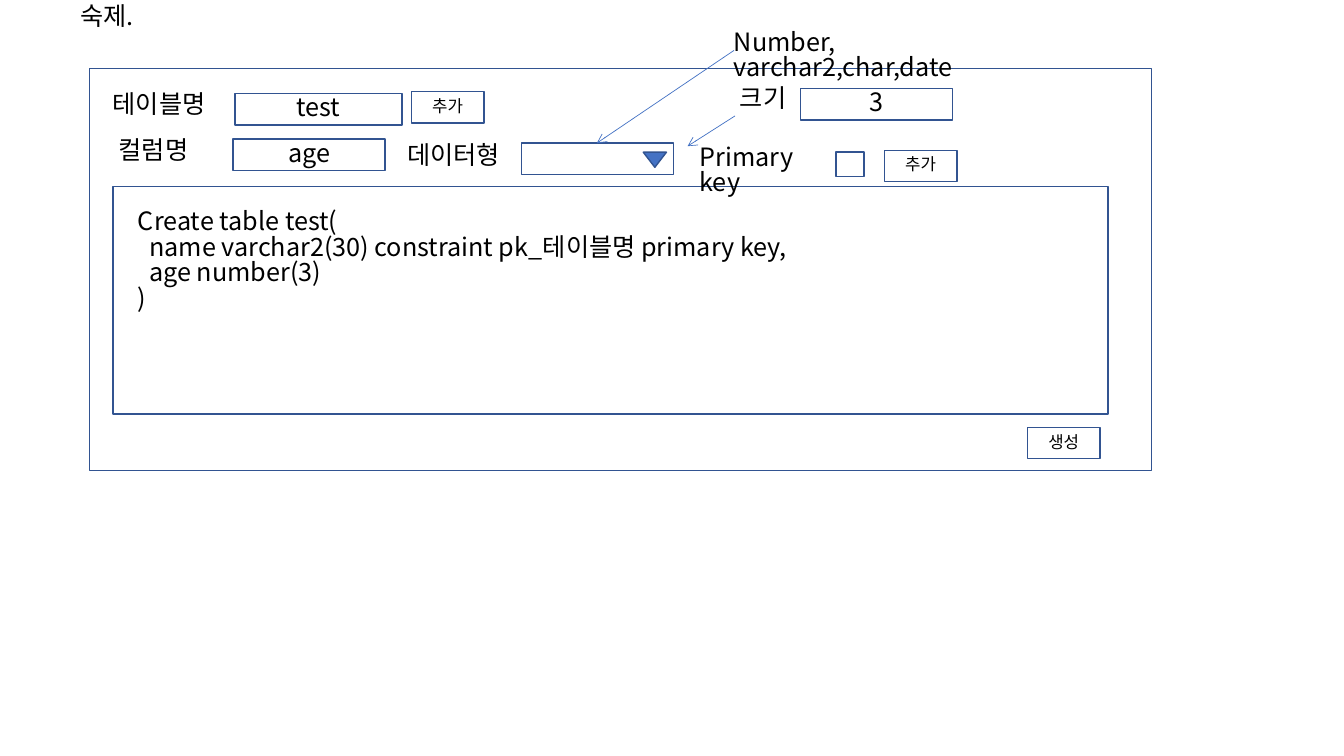
from dataclasses import dataclass

from lxml import etree
from pptx import Presentation
from pptx import util as u
from pptx.dml import color
from pptx.enum import shapes, text
from pptx.oxml import ns
from pptx.slide import Slide
from pptx.text.text import TextFrame

EMU_PER_PX = 9144


@dataclass(frozen=True)
class Theme:
    font: str = "Noto Sans CJK KR"
    ink: color.RGBColor = color.RGBColor(0, 0, 0)
    outline: color.RGBColor = color.RGBColor(0x32, 0x54, 0x91)
    accent: color.RGBColor = color.RGBColor(0x44, 0x72, 0xC4)
    body_size: int = 18
    button_size: int = 12
    line_spacing: float = 0.84
    outline_width: float = 1
    arrow_width: float = 0.5


@dataclass(frozen=True)
class Box:
    left: int
    top: int
    width: int
    height: int
    caption: str = ""
    size: int = 18


@dataclass(frozen=True)
class Label:
    left: int
    top: int
    width: int
    lines: tuple[str, ...]
    height: int = 40


@dataclass(frozen=True)
class Arrow:
    start: tuple[int, int]
    end: tuple[int, int]


THEME = Theme()


def button(left: int, top: int, caption: str) -> Box:
    return Box(left, top, 72, 31, caption, THEME.button_size)


def field(left: int, top: int, caption: str = "", width: int = 151) -> Box:
    return Box(left, top, width, 31, caption, THEME.body_size)


BOXES = (
    Box(89, 68, 1053, 399),
    Box(112, 185, 987, 226),
    field(233, 93, "test", 166),
    field(231, 138, "age"),
    field(517, 142),
    field(794, 88, "3"),
    Box(829, 151, 28, 24),
    button(408, 91, "추가"),
    button(877, 149, "추가"),
    button(1019, 424, "생성"),
)
DROPDOWN_MARK = Box(638, 151, 23, 15)
LABELS = (
    Label(70, 0, 85, ("숙제.",)),
    Label(102, 88, 121, ("테이블명",)),
    Label(108, 133, 96, ("컬럼명",)),
    Label(394, 138, 121, ("데이터형",)),
    Label(718, 26, 330, ("Number, varchar2,char,date",)),
    Label(724, 82, 71, ("크기",)),
    Label(684, 140, 155, ("Primary key",)),
    Label(127, 204, 668, (
        "Create table test(",
        "  name varchar2(30) constraint pk_테이블명 primary key,",
        "  age number(3)",
        ")",
    ), 131),
)
ARROWS = (Arrow((728, 50), (592, 142)), Arrow((729, 115), (682, 145)))


def emu(*lengths: int) -> list[u.Emu]:
    return [u.Emu(length * EMU_PER_PX) for length in lengths]


def write(frame: TextFrame, lines: tuple[str, ...], size: int,
          alignment: text.PP_ALIGN) -> None:
    frame.word_wrap = True
    frame.text = "\n".join(lines)
    for paragraph in frame.paragraphs:
        paragraph.alignment = alignment
        paragraph.line_spacing = THEME.line_spacing
        font = paragraph.font
        font.size = u.Pt(size)
        font.color.rgb = THEME.ink
        font.name = THEME.font
        defaults = paragraph._p.pPr.find(ns.qn("a:defRPr"))
        etree.SubElement(defaults, ns.qn("a:ea"), typeface=THEME.font)


def draw_box(slide: Slide, box: Box) -> None:
    shape = slide.shapes.add_shape(
        shapes.MSO_SHAPE.RECTANGLE, *emu(box.left, box.top, box.width, box.height))
    shape.shadow.inherit = False
    shape.fill.background()
    shape.line.color.rgb = THEME.outline
    shape.line.width = u.Pt(THEME.outline_width)
    if box.caption:
        shape.text_frame.vertical_anchor = text.MSO_ANCHOR.MIDDLE
        write(shape.text_frame, (box.caption,), box.size, text.PP_ALIGN.CENTER)


def draw_dropdown_mark(slide: Slide, box: Box) -> None:
    shape = slide.shapes.add_shape(
        shapes.MSO_SHAPE.ISOSCELES_TRIANGLE,
        *emu(box.left, box.top, box.width, box.height))
    shape.rotation = 180
    shape.shadow.inherit = False
    shape.fill.solid()
    shape.fill.fore_color.rgb = THEME.accent
    shape.line.color.rgb = THEME.outline
    shape.line.width = u.Pt(THEME.outline_width)


def draw_label(slide: Slide, label: Label) -> None:
    shape = slide.shapes.add_textbox(
        *emu(label.left, label.top, label.width, label.height))
    write(shape.text_frame, label.lines, THEME.body_size, text.PP_ALIGN.LEFT)


def draw_arrow(slide: Slide, arrow: Arrow) -> None:
    connector = slide.shapes.add_connector(
        shapes.MSO_CONNECTOR.STRAIGHT, *emu(*arrow.start, *arrow.end))
    connector.line.color.rgb = THEME.accent
    connector.line.width = u.Pt(THEME.arrow_width)
    properties = connector._element.spPr
    outline = properties.find(ns.qn("a:ln"))
    etree.SubElement(outline, ns.qn("a:tailEnd"), type="arrow")
    etree.SubElement(properties, ns.qn("a:effectLst"))


def main() -> None:
    presentation = Presentation()
    presentation.slide_width, presentation.slide_height = emu(1333, 750)
    slide = presentation.slides.add_slide(presentation.slide_layouts[6])
    for box in BOXES:
        draw_box(slide, box)
    draw_dropdown_mark(slide, DROPDOWN_MARK)
    for arrow in ARROWS:
        draw_arrow(slide, arrow)
    for label in LABELS:
        draw_label(slide, label)
    presentation.save("out.pptx")


if __name__ == "__main__":
    main()
